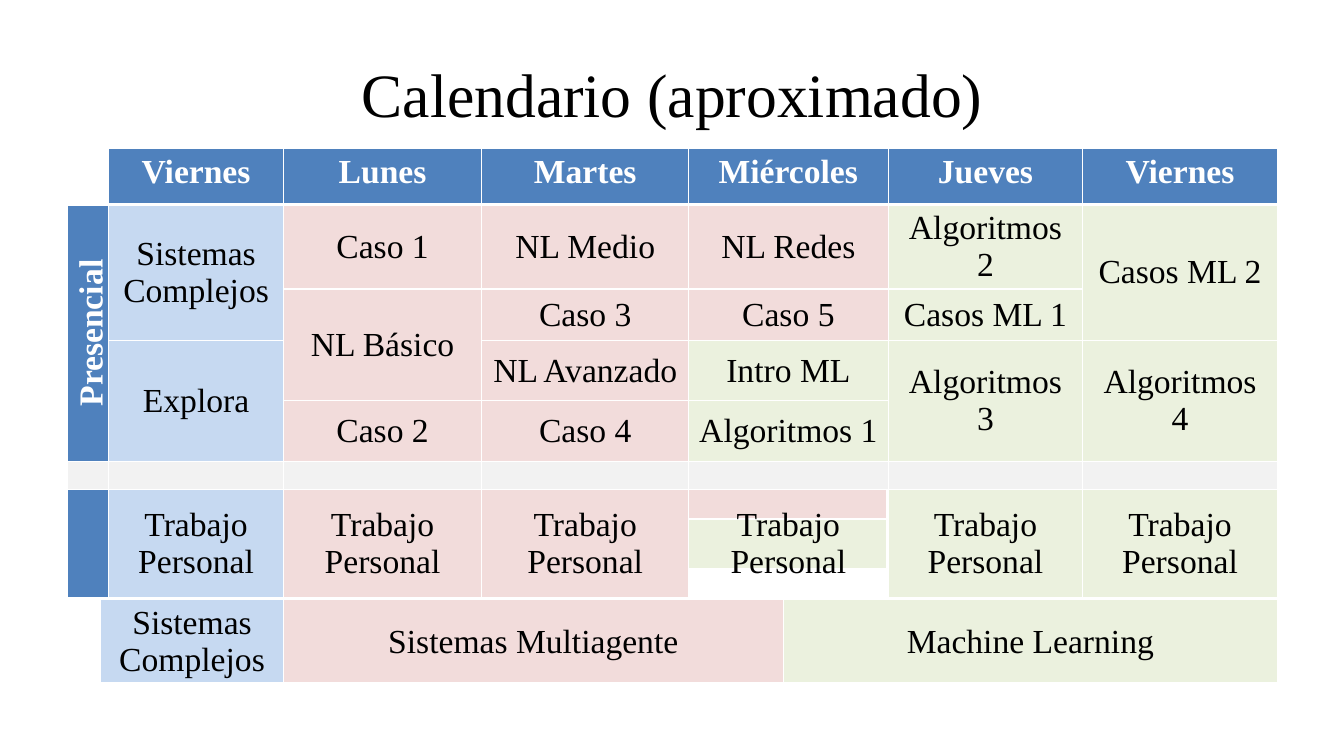
from lxml.etree import SubElement
from pptx import Presentation
from pptx.dml.color import RGBColor
from pptx.enum.shapes import MSO_SHAPE
from pptx.enum.text import MSO_ANCHOR, PP_ALIGN
from pptx.oxml.ns import qn
from pptx.util import Inches, Pt

BLACK = RGBColor(0x00, 0x00, 0x00)
WHITE = RGBColor(0xFF, 0xFF, 0xFF)
BLUE = RGBColor(0x4F, 0x81, 0xBD)
SYSTEMS = RGBColor(0xC6, 0xD9, 0xF1)
AGENTS = RGBColor(0xF2, 0xDC, 0xDB)
LEARNING = RGBColor(0xEB, 0xF1, 0xDE)
GREY = RGBColor(0xF2, 0xF2, 0xF2)
FILLS = {"W": WHITE, "B": BLUE, "S": SYSTEMS, "A": AGENTS, "M": LEARNING, "G": GREY}
FONT = "Times New Roman"


def add_grid(left, top, widths, heights):
    """Add a plain table with the given column widths and row heights."""
    table = slide.shapes.add_table(
        len(heights), len(widths), Inches(left), Inches(top),
        Inches(sum(widths)), Inches(sum(heights))).table
    table.first_row = table.horz_banding = False
    for column, width in zip(table.columns, widths):
        column.width = Inches(width)
    for row, height in zip(table.rows, heights):
        row.height = Inches(height)
    return table


def style_cell(cell, text, fill, bottom=1, anchor=MSO_ANCHOR.MIDDLE):
    """Write a cell with white borders; a fill of None leaves it clear."""
    cell.text_frame.text = text
    cell.vertical_anchor = anchor
    paragraph = cell.text_frame.paragraphs[0]
    paragraph.alignment = PP_ALIGN.CENTER
    for run in paragraph.runs:
        run.font.name, run.font.size = FONT, Pt(24)
        run.font.bold = fill == BLUE
        run.font.color.rgb = WHITE if fill == BLUE else BLACK
    if not text:  # keeps empty rows thin
        SubElement(paragraph._p, qn("a:endParaRPr"), sz="800")
    properties = cell._tc.get_or_add_tcPr()
    for side, points in (("L", 1), ("R", 1), ("T", 1), ("B", bottom)):
        border = SubElement(properties, qn(f"a:ln{side}"), w=str(Pt(points)))
        SubElement(SubElement(border, qn("a:solidFill")), qn("a:srgbClr"), val=str(WHITE))
    if fill is None:
        cell.fill.background()
    else:
        cell.fill.solid()
        cell.fill.fore_color.rgb = fill


presentation = Presentation()
presentation.slide_width, presentation.slide_height = Inches(13.33), Inches(7.5)
slide = presentation.slides.add_slide(presentation.slide_layouts[5])

# Title
title = slide.shapes.title
title.left, title.top, title.width, title.height = map(Inches, (0.67, 0.3, 12, 1.25))
title.text_frame.text = "Calendario (aproximado)"
title.text_frame.vertical_anchor = MSO_ANCHOR.MIDDLE
heading = title.text_frame.paragraphs[0]
heading.alignment = PP_ALIGN.CENTER
heading_font = heading.runs[0].font
heading_font.name, heading_font.size = FONT, Pt(44)
heading_font.color.rgb = BLACK

# Course blocks under the calendar
blocks = [("Sistemas Complejos", SYSTEMS), ("Sistemas Multiagente", AGENTS),
          ("Machine Learning", LEARNING)]
courses = add_grid(1, 5.95, [1.81, 4.96, 4.9], [0.41])
for column, (course, fill) in enumerate(blocks):
    style_cell(courses.cell(0, column), course, fill, bottom=3)

# Two-coloured backing of Wednesday's personal work
for top, fill in ((5.09, LEARNING), (4.6, AGENTS)):
    half = slide.shapes.add_shape(
        MSO_SHAPE.RECTANGLE, Inches(6.67), Inches(top), Inches(2.13), Inches(0.55))
    half.shadow.inherit = False
    half.fill.solid()
    half.fill.fore_color.rgb = fill
    half.line.color.rgb = WHITE
    half.line.width = Pt(1)

# Weekly calendar: "^" continues the cell above, "-" in the fills means clear
WORK = "Trabajo Personal"
schedule = [
    ("WBBBBBB", ["", "Viernes", "Lunes", "Martes", "Miércoles", "Jueves", "Viernes"]),
    ("BSAAAMM", ["Presencial", "Sistemas Complejos", "Caso 1", "NL Medio", "NL Redes",
                 "Algoritmos 2", "Casos ML 2"]),
    ("BSAAAMM", ["^", "^", "NL Básico", "Caso 3", "Caso 5", "Casos ML 1", "^"]),
    ("BSAAMMM", ["^", "Explora", "^", "NL Avanzado", "Intro ML", "Algoritmos 3",
                 "Algoritmos 4"]),
    ("BSAAMMM", ["^", "^", "Caso 2", "Caso 4", "Algoritmos 1", "^", "^"]),
    ("GGGGGGG", [""] * 7),
    ("BSAA-MM", [""] + [WORK] * 6),
]
calendar = add_grid(0.67, 1.47, [0.41, 1.73, 1.97, 2.05, 1.98, 1.93, 1.93],
                    [0.56, 0.56, 0.51, 0.6, 0.6, 0.28, 1.07])
for row, (fills, texts) in enumerate(schedule):
    for column, (key, text) in enumerate(zip(fills, texts)):
        header = row == 0
        style_cell(calendar.cell(row, column), text.strip("^"), FILLS.get(key),
                   bottom=3 if header else 1,
                   anchor=MSO_ANCHOR.TOP if header else MSO_ANCHOR.MIDDLE)

# Merge each cell with its continuations
for column in range(7):
    start = 0
    for row in range(1, len(schedule) + 1):
        if row == len(schedule) or schedule[row][1][column] != "^":
            if row - start > 1:
                calendar.cell(start, column).merge(calendar.cell(row - 1, column))
            start = row
calendar.cell(1, 0)._tc.get_or_add_tcPr().set("vert", "vert270")

presentation.save("out.pptx")
